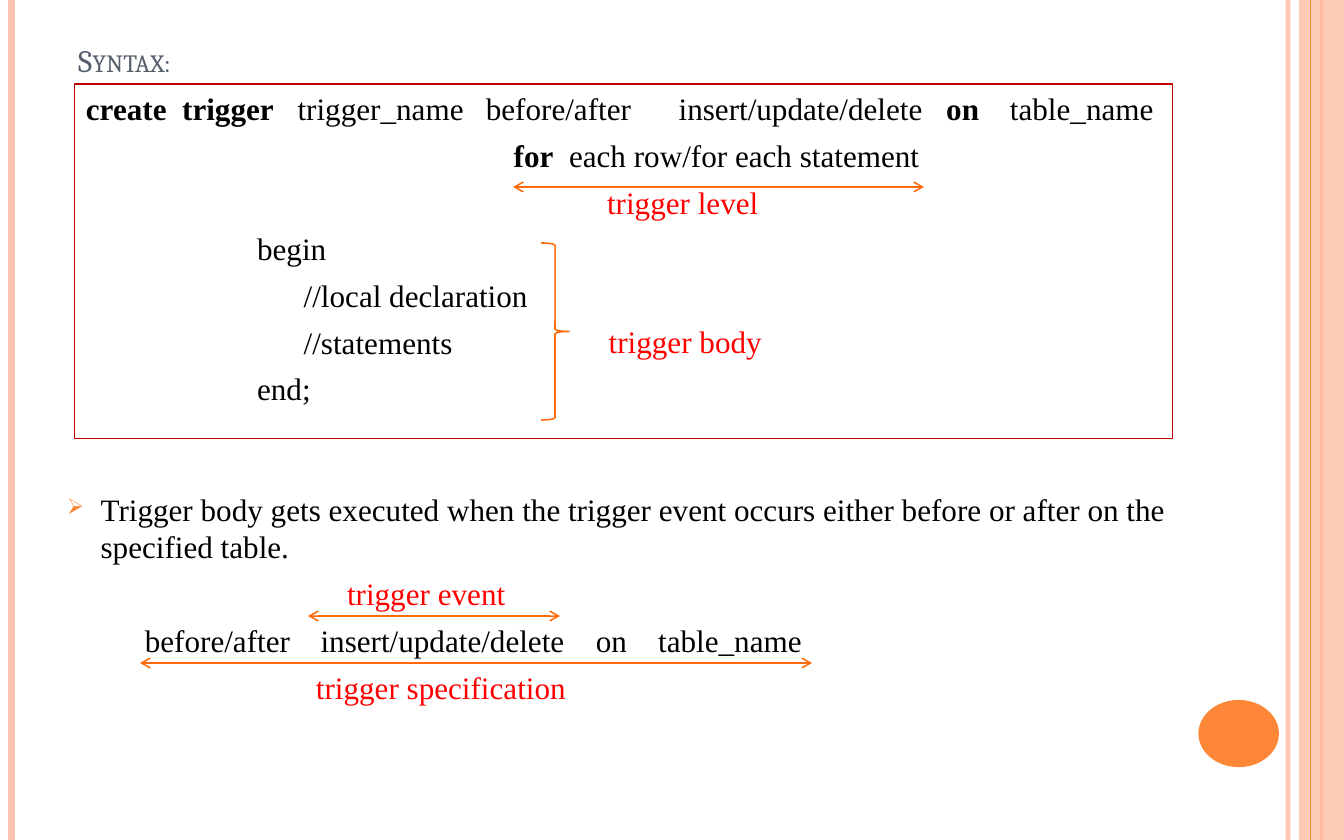
from dataclasses import dataclass
from typing import Optional

from lxml import etree
from pptx import Presentation
from pptx import util as u
from pptx.dml import color
from pptx.enum import shapes, text
from pptx.oxml import ns

Pt = u.Pt


@dataclass(frozen=True)
class Theme:
    """Colours, fonts and type size of the slide."""
    orange: str = "FE8637"
    peach: str = "FEC3AE"
    arrow: str = "FF6B0A"
    frame: str = "C00000"
    title: str = "575F6D"
    ink: str = "000000"
    label: str = "FF0000"
    heading: str = "Cambria"
    body: str = "Times New Roman"
    size: float = 20
    leading: float = 24
    before: float = 6


@dataclass(frozen=True)
class Run:
    """A stretch of text in one style."""
    text: str
    bold: bool = False
    color: str = Theme.ink


@dataclass(frozen=True)
class Para:
    """A paragraph with its first-line indent."""
    runs: tuple[Run, ...]
    indent: float = 0
    bullet: Optional[str] = None


@dataclass(frozen=True)
class Cell:
    """A phrase set apart on a text line, x from the block's left edge."""
    line: int
    x: float
    run: Run


@dataclass(frozen=True)
class Rule:
    """A straight line."""
    x1: float
    y1: float
    x2: float
    y2: float
    color: str
    width: float
    alpha: int = 100
    arrows: bool = False


T = Theme()
WIDTH, HEIGHT = 864, 540
CELL_WIDTH, CELL_HEIGHT = 190, 36
FRAME = (48.2, 54, 705.6, 228)
NOTES = (36, 311.8, 723.6, 228.2)


def label(words: str) -> Run:
    """Return a red annotation run."""
    return Run(words, color=T.label)


def edge(x: float, width: float, tint: str, alpha: int = 100) -> Rule:
    """Return a full-height line at x."""
    return Rule(x, 0, x, HEIGHT, tint, width, alpha)


def span(x1: float, x2: float, y: float) -> Rule:
    """Return a level double-headed arrow."""
    return Rule(x1, y, x2, y, T.arrow, 1, arrows=True)


SYNTAX = (
    Para((Run("create  trigger", True),)),
    Para((Run("for", True), Run("  each row/for each statement")), 275),
    Para((label("trigger level"),), 335),
    Para((Run("begin"),), 110),
    Para((Run("//local declaration"),), 140),
    Para((Run("//statements"),), 140),
    Para((Run("end;"),), 110),
)
SYNTAX_CELLS = (
    Cell(0, 136, Run("trigger_name")),
    Cell(0, 257, Run("before/after")),
    Cell(0, 381, Run("insert/update/delete")),
    Cell(0, 553, Run("on", True)),
    Cell(0, 594, Run("table_name")),
    Cell(5, 336, label("trigger body")),
)
EXPLANATION = (
    Para((Run("Trigger body gets executed when the trigger event occurs either "
              "before or after on the specified table."),), bullet="\u27a2"),
    Para((label("trigger event"),), 180),
    Para((Run("before/after"),), 50),
    Para((label("trigger specification"),), 160),
)
EXPLANATION_CELLS = (
    Cell(2, 163, Run("insert/update/delete")),
    Cell(2, 340, Run("on")),
    Cell(2, 380, Run("table_name")),
)
EDGES = (edge(828, 3, T.peach, 93), edge(7.2, 4.5, T.peach),
         edge(849.6, 1.5, T.orange))
INNER_EDGE = edge(842.4, 0.75, T.orange)
LEVEL_ARROW = span(329.8, 594, 120.2)
EVENT_ARROWS = (span(198, 360, 396), span(90, 522, 426.2))


def rgb(value: str) -> color.RGBColor:
    """Turn a hex string into a colour."""
    return color.RGBColor.from_string(value)


def sub(parent, tag: str, **attrs):
    """Append a DrawingML child element."""
    return etree.SubElement(parent, ns.qn(tag), attrs)


def fade(element, alpha: int) -> None:
    """Make the solid colour inside an element translucent."""
    if alpha < 100:
        sub(next(element.iter(ns.qn("a:srgbClr"))), "a:alpha", val=str(alpha * 1000))


def add_rule(s, rule: Rule) -> None:
    """Draw a line, with arrowheads if asked for."""
    c = s.shapes.add_connector(shapes.MSO_CONNECTOR.STRAIGHT, Pt(rule.x1),
                               Pt(rule.y1), Pt(rule.x2), Pt(rule.y2))
    c.line.color.rgb = rgb(rule.color)
    c.line.width = Pt(rule.width)
    ln = c.line._get_or_add_ln()
    fade(ln, rule.alpha)
    if rule.arrows:
        sub(ln, "a:headEnd", type="arrow")
        sub(ln, "a:tailEnd", type="arrow")
    sub(c._element.spPr, "a:effectLst")


def add_shape(s, kind, box, fill: Optional[str] = None,
              line: Optional[str] = None, width: float = 1, alpha: int = 100):
    """Draw a preset shape with optional fill and outline."""
    sp = s.shapes.add_shape(kind, *map(Pt, box))
    sp.shadow.inherit = False
    if fill:
        sp.fill.solid()
        sp.fill.fore_color.rgb = rgb(fill)
        fade(sp._element.spPr, alpha)
    else:
        sp.fill.background()
    if line:
        sp.line.color.rgb = rgb(line)
        sp.line.width = Pt(width)
    else:
        sp.line.fill.background()
    return sp


def style(r, font: str, tint: str, bold: bool = False) -> None:
    """Format one run."""
    r.font.name, r.font.size, r.font.bold = font, Pt(T.size), bold
    r.font.color.rgb = rgb(tint)


def fill_text(tf, paras: tuple[Para, ...]) -> None:
    """Write the paragraphs into a text frame."""
    tf.word_wrap = True
    tf.vertical_anchor = text.MSO_ANCHOR.TOP
    for i, para in enumerate(paras):
        p = tf.add_paragraph() if i else tf.paragraphs[0]
        p.alignment = text.PP_ALIGN.LEFT
        p.line_spacing, p.space_before = Pt(T.leading), Pt(T.before)
        pPr = p._p.get_or_add_pPr()
        margin, indent = (21.6, -21.6) if para.bullet else (0, para.indent)
        pPr.set("marL", str(Pt(margin)))
        pPr.set("indent", str(Pt(indent)))
        if para.bullet:
            sub(sub(pPr, "a:buClr"), "a:srgbClr", val=T.orange)
            sub(pPr, "a:buSzPct", val="70000")
            sub(pPr, "a:buChar", char=para.bullet)
        for run in para.runs:
            r = p.add_run()
            r.text = run.text
            style(r, T.body, run.color, run.bold)


def add_cells(s, left: float, top: float, cells: tuple[Cell, ...]) -> None:
    """Set phrases at their columns on the lines of a text block."""
    for cell in cells:
        y = top + cell.line * (T.leading + T.before)
        box = (left + cell.x, y, CELL_WIDTH, CELL_HEIGHT)
        fill_text(s.shapes.add_textbox(*map(Pt, box)).text_frame,
                  (Para((cell.run,)),))


def add_title(s, words: str) -> None:
    """Write the small-caps heading."""
    tf = s.shapes.add_textbox(*map(Pt, (43.2, 21.6, 705.6, 32.4))).text_frame
    tf.word_wrap = True
    tf.vertical_anchor = text.MSO_ANCHOR.BOTTOM
    tf.text = words
    r = tf.paragraphs[0].runs[0]
    style(r, T.heading, T.title)
    r._r.get_or_add_rPr().set("cap", "small")


def main() -> None:
    """Build and save the slide."""
    prs = Presentation()
    prs.slide_width, prs.slide_height = Pt(WIDTH), Pt(HEIGHT)
    s = prs.slides.add_slide(prs.slide_layouts[6])
    kinds = shapes.MSO_SHAPE
    for rule in EDGES:
        add_rule(s, rule)
    add_shape(s, kinds.RECTANGLE, (835.2, 0, 28.8, HEIGHT), T.peach, alpha=87)
    add_rule(s, INNER_EDGE)
    add_shape(s, kinds.OVAL, (770.4, 450, 51.8, 43.2), T.orange)
    add_title(s, "Syntax:")
    frame = add_shape(s, kinds.RECTANGLE, FRAME, line=T.frame, width=0.75)
    fill_text(frame.text_frame, SYNTAX)
    add_cells(s, FRAME[0], FRAME[1], SYNTAX_CELLS)
    add_rule(s, LEVEL_ARROW)
    add_shape(s, kinds.RIGHT_BRACE, (347.8, 156.2, 18, 113.8), line=T.arrow)
    fill_text(s.shapes.add_textbox(*map(Pt, NOTES)).text_frame, EXPLANATION)
    # The first note wraps, so the lines below it sit one leading lower.
    add_cells(s, NOTES[0], NOTES[1] + T.leading, EXPLANATION_CELLS)
    for rule in EVENT_ARROWS:
        add_rule(s, rule)
    prs.save("out.pptx")


main()
